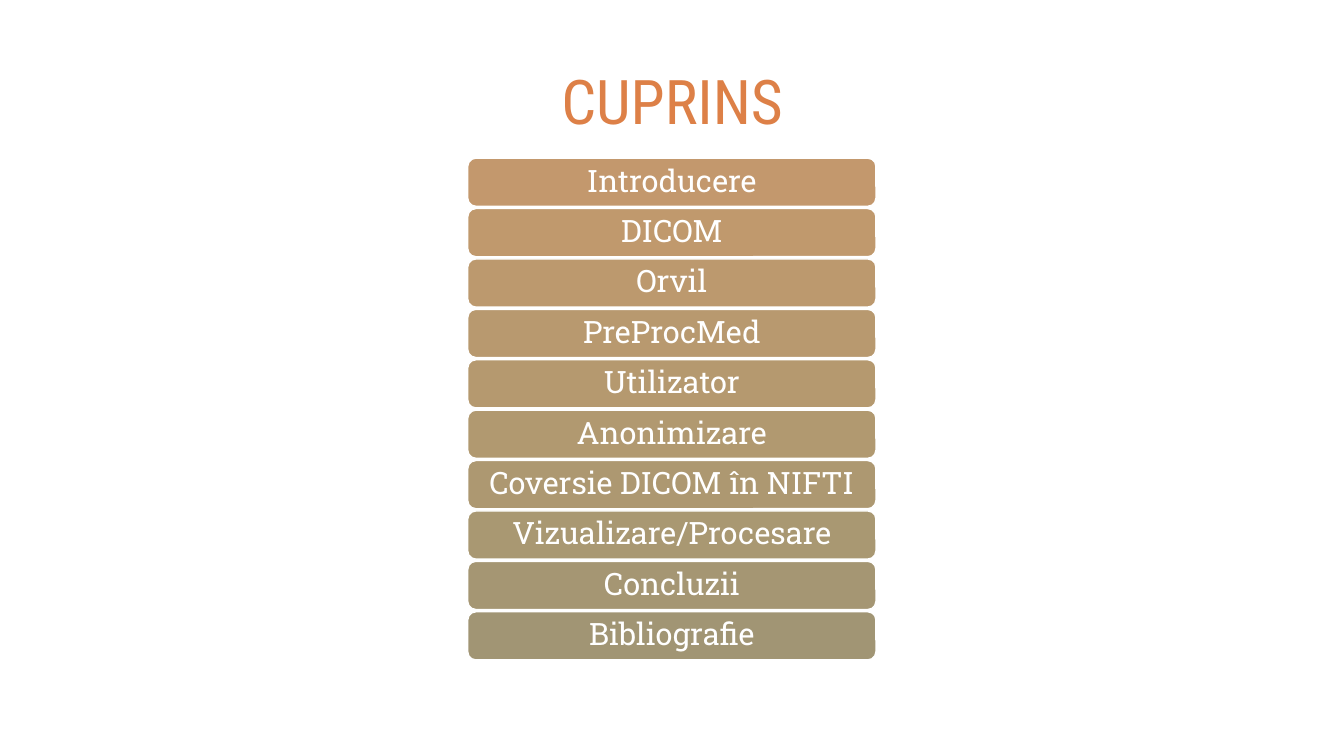
from pptx import Presentation
from pptx.dml.color import RGBColor
from pptx.enum.shapes import MSO_SHAPE
from pptx.enum.text import MSO_ANCHOR, PP_ALIGN
from pptx.util import Pt

CHAPTERS = [
    ("Introducere", "C3986D"),
    ("DICOM", "C0996D"),
    ("Orvil", "BC996E"),
    ("PreProcMed", "B8996F"),
    ("Utilizator", "B5996F"),
    ("Anonimizare", "B19970"),
    ("Coversie DICOM în NIFTI", "AD9871"),
    ("Vizualizare/Procesare", "A99872"),
    ("Concluzii", "A59673"),
    ("Bibliografie", "A19574"),
]
BAR_LEFT, BAR_TOP = 334.1, 113
BAR_WIDTH, BAR_HEIGHT = 291.6, 34.4
BAR_STEP = 36


def color(value):
    return RGBColor.from_string(value)


def write_centered(box, text, font, size, text_color, side_inset, end_inset):
    frame = box.text_frame
    frame.word_wrap = True
    frame.vertical_anchor = MSO_ANCHOR.MIDDLE
    frame.margin_left = frame.margin_right = Pt(side_inset)
    frame.margin_top = frame.margin_bottom = Pt(end_inset)
    para = frame.paragraphs[0]
    para.alignment = PP_ALIGN.CENTER
    para.line_spacing = 0.9
    span = para.add_run()
    span.text = text
    span.font.name = font
    span.font.size = Pt(size)
    span.font.color.rgb = color(text_color)


def add_title(page, text):
    box = page.shapes.add_textbox(Pt(75.6), Pt(42.5), Pt(809.3), Pt(64.8))
    write_centered(box, text, "Roboto Condensed", 44, "DD8047", 7.2, 7.2)


def add_bar(page, top, text, fill):
    bar = page.shapes.add_shape(
        MSO_SHAPE.ROUNDED_RECTANGLE,
        Pt(BAR_LEFT), Pt(top), Pt(BAR_WIDTH), Pt(BAR_HEIGHT),
    )
    bar.adjustments[0] = 0.17
    bar.shadow.inherit = False
    bar.fill.solid()
    bar.fill.fore_color.rgb = color(fill)
    bar.line.color.rgb = color("FFFFFF")
    bar.line.width = Pt(1)
    write_centered(bar, text, "Roboto Slab", 22, "FFFFFF", 7.9, 5)


def main():
    deck = Presentation()
    deck.slide_width = Pt(960)
    deck.slide_height = Pt(540)
    page = deck.slides.add_slide(deck.slide_layouts[6])
    for index, (chapter, fill) in enumerate(CHAPTERS):
        add_bar(page, BAR_TOP + index * BAR_STEP, chapter, fill)
    add_title(page, "CUPRINS")
    deck.save("out.pptx")


if __name__ == "__main__":
    main()
